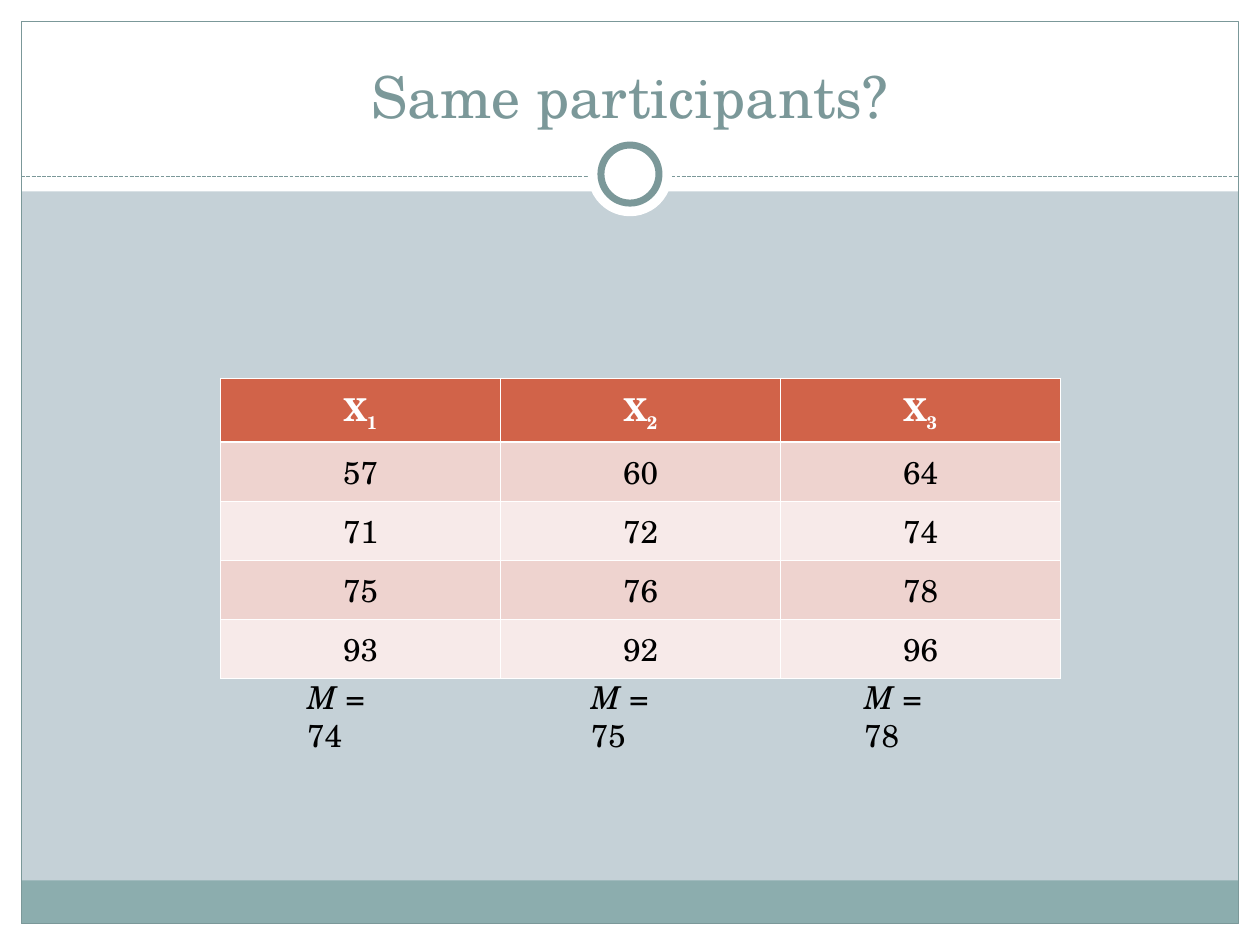
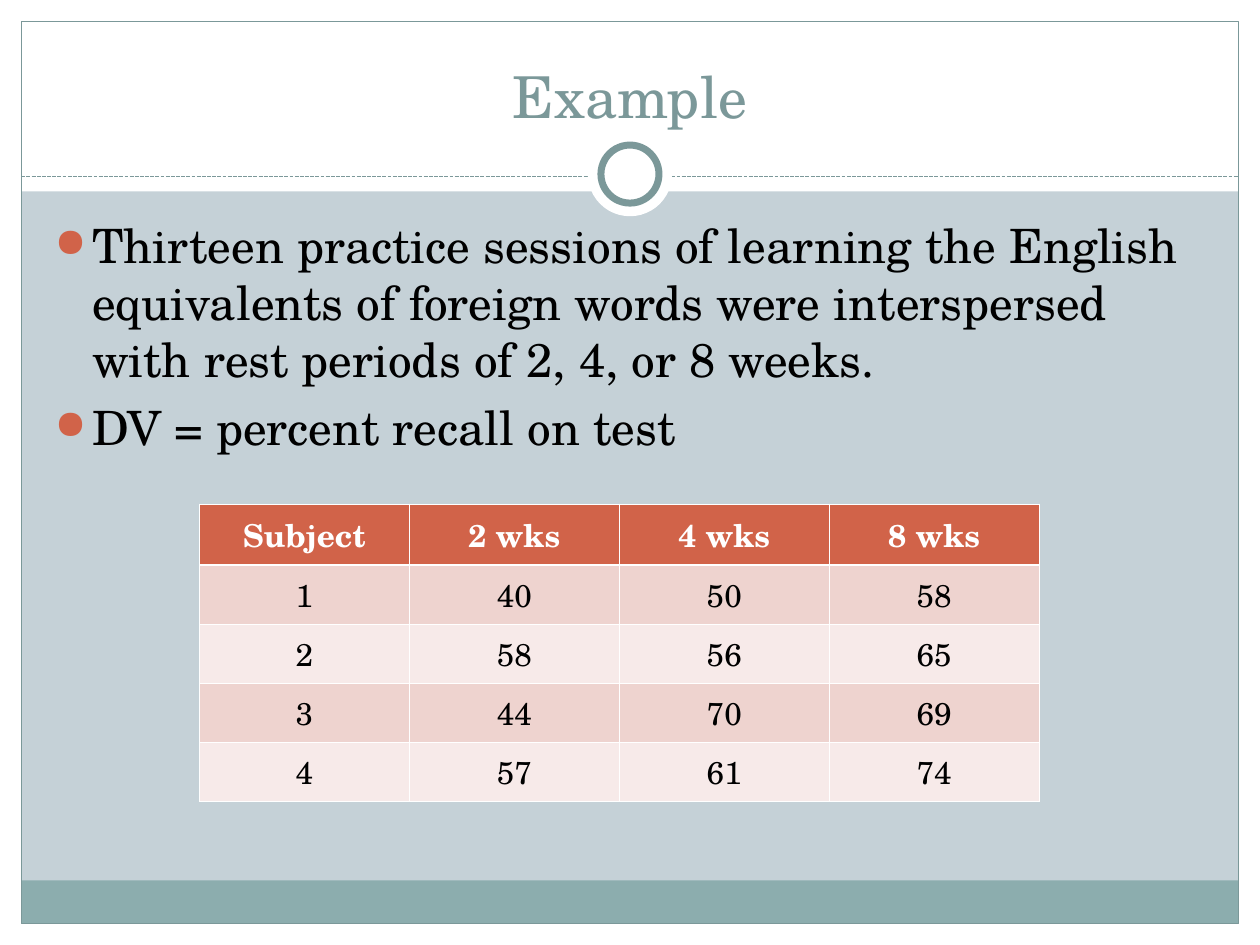
from dataclasses import dataclass

import pptx
import pptx.dml.color
import pptx.enum.dml
import pptx.enum.shapes
import pptx.enum.text
import pptx.oxml
import pptx.oxml.ns
import pptx.util
from pptx.util import Cm, Pt

SHAPE = pptx.enum.shapes.MSO_SHAPE
ANCHOR = pptx.enum.text.MSO_ANCHOR
ALIGN = pptx.enum.text.PP_ALIGN


@dataclass(frozen=True)
class Theme:
    font: str = "TeX Gyre Schola"
    background: str = "C5D1D7"
    paper: str = "FFFFFF"
    footer: str = "8CADAE"
    rule: str = "7B9899"
    accent: str = "D16349"
    odd_row: str = "EED3CF"
    even_row: str = "F7EAE9"
    ink: str = "000000"
    title_size: float = 33
    body_size: float = 27
    small_size: float = 18
    thin_line: float = 0.75
    ring_line: float = 4
    cell_line: float = 0.45
    header_line: float = 1.47


WIDTH, HEIGHT = 25.4, 19.05
MARGIN = 0.43
INNER_WIDTH = WIDTH - 2 * MARGIN
HEADER_HEIGHT = 3.86
FOOTER_TOP, FOOTER_HEIGHT = 17.75, 0.87
RULE_TOP = 3.56
RING_CENTRE = 3.51
TABLE_WIDTH, ROW_HEIGHT = 16.93, 1.19


def rgb(color):
    return pptx.dml.color.RGBColor.from_string(color)


def append_xml(parent, xml):
    namespace = pptx.oxml.ns.nsdecls("a")
    parent.append(pptx.oxml.parse_xml(xml.replace(" ", f" {namespace} ", 1)))


class Deck:
    """Holds the theme, the presentation and the slide being built."""

    def __init__(self, theme):
        self.theme = theme
        self.presentation = pptx.Presentation()
        self.presentation.slide_width = Cm(WIDTH)
        self.presentation.slide_height = Cm(HEIGHT)
        self.slide = None

    def add_slide(self, title):
        self.slide = self.presentation.slides.add_slide(
            self.presentation.slide_layouts[6])
        fill = self.slide.background.fill
        fill.solid()
        fill.fore_color.rgb = rgb(self.theme.background)
        self.add_frame()
        self.add_title(title)

    def add_shape(self, kind, left, top, width, height,
                  fill=None, line=None, line_width=0):
        shape = self.slide.shapes.add_shape(
            kind, Cm(left), Cm(top), Cm(width), Cm(height))
        shape.shadow.inherit = False
        if fill:
            shape.fill.solid()
            shape.fill.fore_color.rgb = rgb(fill)
        else:
            shape.fill.background()
        if line:
            shape.line.color.rgb = rgb(line)
            shape.line.width = Pt(line_width)
        else:
            shape.line.fill.background()

    def add_frame(self):
        """Margins, header, footer band, dashed rule and ring."""
        theme = self.theme
        bands = [
            (0, HEIGHT - MARGIN, WIDTH, MARGIN, theme.paper),
            (0, 0, WIDTH, HEADER_HEIGHT, theme.paper),
            (0, 0, MARGIN, HEIGHT, theme.paper),
            (WIDTH - MARGIN, 0, MARGIN, HEIGHT, theme.paper),
            (MARGIN, FOOTER_TOP, INNER_WIDTH, FOOTER_HEIGHT, theme.footer),
        ]
        for band in bands:
            self.add_shape(SHAPE.RECTANGLE, *band)
        self.add_shape(SHAPE.RECTANGLE, MARGIN, MARGIN, INNER_WIDTH,
                       HEIGHT - 2 * MARGIN,
                       line=theme.rule, line_width=theme.thin_line)
        self.add_dashed_rule(RULE_TOP)
        for diameter, line in ((1.7, None), (1.17, theme.rule)):
            self.add_shape(SHAPE.OVAL, (WIDTH - diameter) / 2,
                           RING_CENTRE - diameter / 2, diameter, diameter,
                           theme.paper, line, theme.ring_line)

    def add_dashed_rule(self, top):
        rule = self.slide.shapes.add_connector(
            pptx.enum.shapes.MSO_CONNECTOR.STRAIGHT,
            Cm(MARGIN), Cm(top), Cm(WIDTH - MARGIN), Cm(top))
        rule.line.color.rgb = rgb(self.theme.rule)
        rule.line.width = Pt(self.theme.thin_line)
        rule.line.dash_style = pptx.enum.dml.MSO_LINE.SQUARE_DOT
        append_xml(rule._element.spPr, "<a:effectLst />")

    def add_run(self, paragraph, text, size, color, subscript=False, **formats):
        run = paragraph.add_run()
        run.text = text
        formats = {"name": self.theme.font, "size": Pt(size), **formats}
        for name, value in formats.items():
            setattr(run.font, name, value)
        run.font.color.rgb = rgb(color)
        if subscript:
            run._r.get_or_add_rPr().set("baseline", "-25000")

    def add_text_box(self, left, top, width, height, anchor=ANCHOR.TOP):
        box = self.slide.shapes.add_textbox(
            Cm(left), Cm(top), Cm(width), Cm(height))
        box.text_frame.word_wrap = True
        box.text_frame.vertical_anchor = anchor
        return box.text_frame

    def add_title(self, title):
        frame = self.add_text_box(0.85, 0.64, 23.7, 2.11, ANCHOR.BOTTOM)
        paragraph = frame.paragraphs[0]
        paragraph.alignment = ALIGN.CENTER
        self.add_run(paragraph, title, self.theme.title_size, self.theme.rule)

    def add_bullets(self, items):
        frame = self.add_text_box(0.85, 4.24, 23.62, 12.7)
        for index, item in enumerate(items):
            paragraph = frame.add_paragraph() if index else frame.paragraphs[0]
            paragraph.space_before = Pt(6.8)
            properties = paragraph._p.get_or_add_pPr()
            indent = Cm(0.76)
            properties.set("marL", str(indent))
            properties.set("indent", str(-indent))
            for xml in (f'<a:buClr ><a:srgbClr val="{self.theme.accent}"/></a:buClr>',
                        '<a:buSzPct val="85000"/>',
                        '<a:buChar char="●"/>'):
                append_xml(properties, xml)
            self.add_run(paragraph, item, self.theme.body_size, self.theme.ink)

    def add_mean(self, left, mean):
        paragraph = self.add_text_box(left, 13.54, 2.49, 1.02).paragraphs[0]
        for text, italic in (("M ", True), (f"= {mean}", False)):
            self.add_run(paragraph, text, self.theme.small_size,
                         self.theme.ink, italic=italic)

    def add_table(self, left, top, header_height, headers, rows):
        """Each header is a (text, subscript) pair."""
        theme = self.theme
        table = self.slide.shapes.add_table(
            len(rows) + 1, len(headers), Cm(left), Cm(top), Cm(TABLE_WIDTH),
            Cm(header_height + len(rows) * ROW_HEIGHT)).table
        for column in table.columns:
            column.width = Cm(TABLE_WIDTH / len(headers))
        for index, row in enumerate(table.rows):
            row.height = Cm(ROW_HEIGHT if index else header_height)
        for column, (text, subscript) in enumerate(headers):
            paragraph = self.style_cell(table, 0, column, theme.accent)
            for part, lowered in ((text, False), (subscript, True)):
                if part:
                    self.add_run(paragraph, part, theme.small_size, theme.paper,
                                 subscript=lowered, bold=True)
        for row, values in enumerate(rows, 1):
            fill = theme.odd_row if row % 2 else theme.even_row
            for column, value in enumerate(values):
                paragraph = self.style_cell(table, row, column, fill)
                self.add_run(paragraph, str(value), theme.small_size,
                             theme.ink, bold=False)

    def style_cell(self, table, row, column, fill):
        """Sets borders and fill; returns the cell's centred paragraph."""
        theme = self.theme
        cell = table.cell(row, column)
        heavy_side = {0: "B", 1: "T"}.get(row)
        for side in "LRTB":
            width = theme.header_line if side == heavy_side else theme.cell_line
            append_xml(cell._tc.get_or_add_tcPr(),
                       f'<a:ln{side} w="{Pt(width)}"><a:solidFill>'
                       f'<a:srgbClr val="{theme.paper}"/>'
                       f'</a:solidFill></a:ln{side}>')
        cell.fill.solid()
        cell.fill.fore_color.rgb = rgb(fill)
        cell.vertical_anchor = ANCHOR.MIDDLE
        paragraph = cell.text_frame.paragraphs[0]
        paragraph.alignment = ALIGN.CENTER
        return paragraph


def main():
    deck = Deck(Theme())

    deck.add_slide("Same participants?")
    deck.add_table(4.45, 7.62, 1.29, [("X", "1"), ("X", "2"), ("X", "3")],
                   [(57, 60, 64), (71, 72, 74), (75, 76, 78), (93, 92, 96)])
    for left, mean in ((5.94, 74), (11.66, 75), (17.17, 78)):
        deck.add_mean(left, mean)

    deck.add_slide("Example")
    deck.add_bullets([
        "Thirteen practice sessions of learning the English equivalents of "
        "foreign words were interspersed with rest periods of 2, 4, or 8 weeks.",
        "DV = percent recall on test",
    ])
    headers = ("Subject", "2 wks", "4 wks", "8 wks")
    deck.add_table(4.02, 10.16, 1.23, [(header, "") for header in headers],
                   [(1, 40, 50, 58), (2, 58, 56, 65),
                    (3, 44, 70, 69), (4, 57, 61, 74)])

    deck.presentation.save("out.pptx")


if __name__ == "__main__":
    main()
